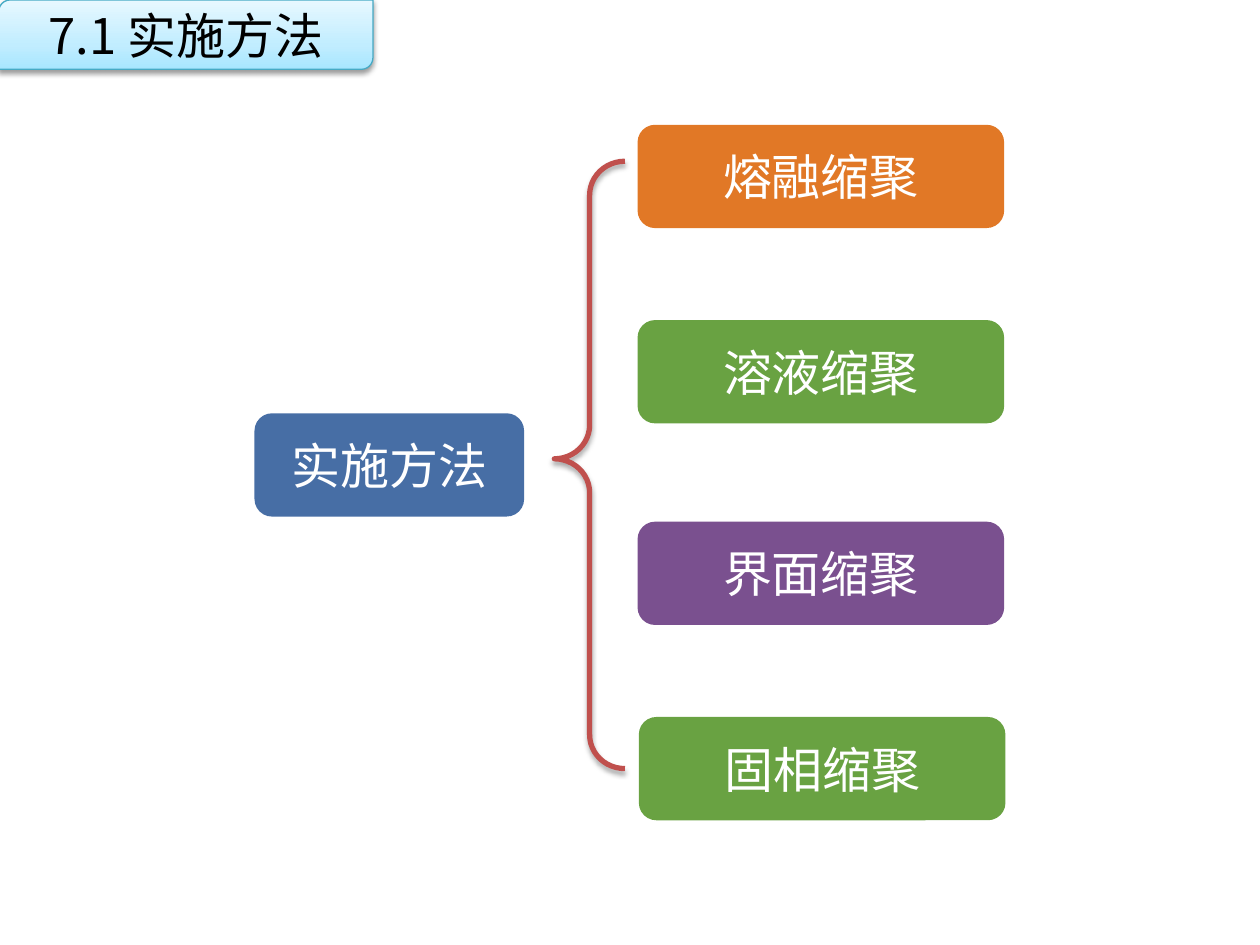
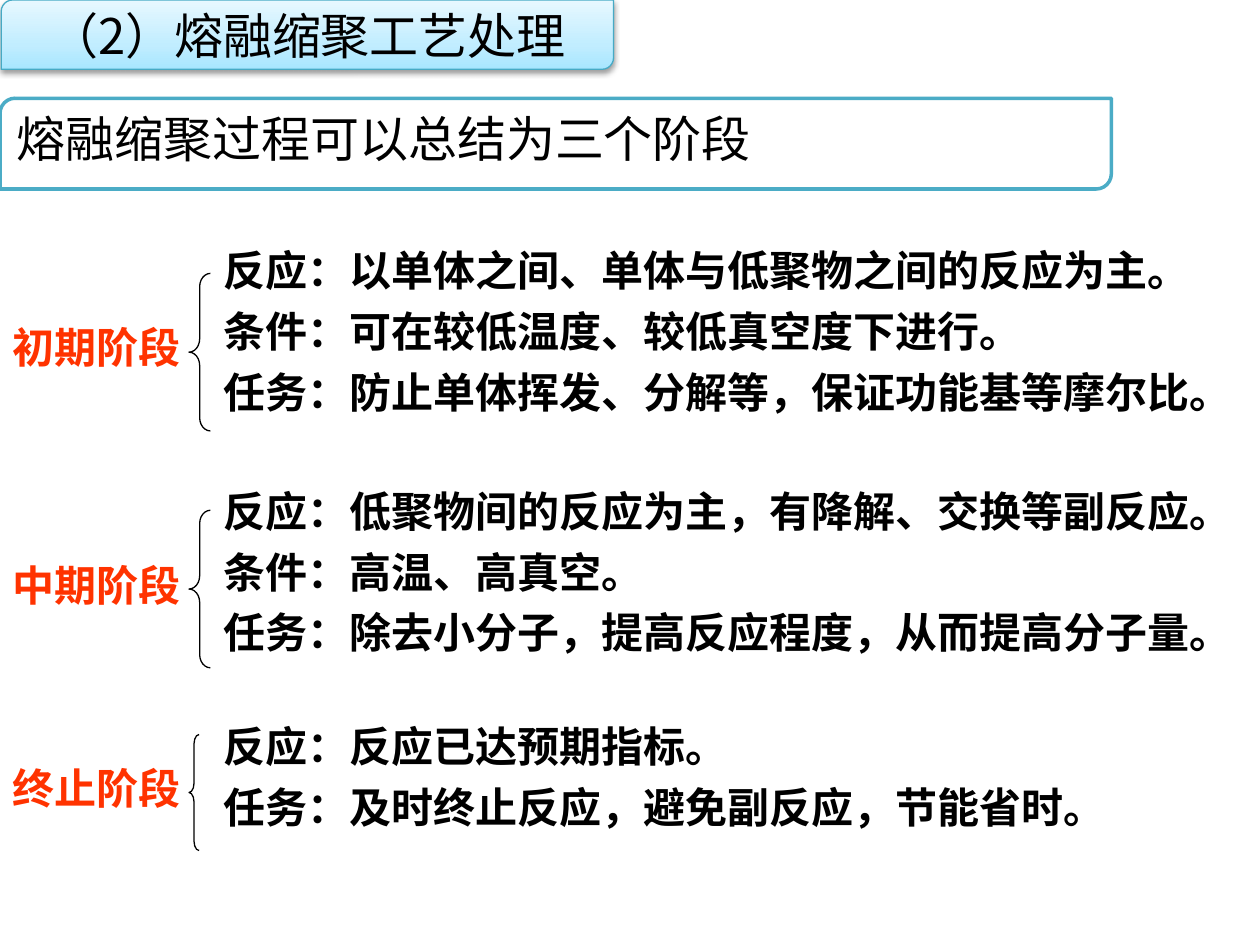
from copy import deepcopy
from dataclasses import dataclass

from lxml import etree
from pptx import Presentation
from pptx.dml.color import RGBColor
from pptx.enum import shapes, text
from pptx.oxml import ns
from pptx.util import Inches, Pt


@dataclass(frozen=True)
class Theme:
    sans: str = "Noto Sans CJK SC"
    serif: str = "Times New Roman"
    large: int = 28
    medium: int = 24
    black: str = "000000"
    white: str = "FFFFFF"
    orange: str = "E17826"
    green: str = "69A242"
    purple: str = "7A508F"
    blue: str = "476EA5"
    brace: str = "C0504D"
    stage: str = "FF3300"
    frame: str = "4BACC6"
    band_line: str = "46AAC5"
    band: tuple = ((0, "A7E6FF"), (0.35, "C1EDFF"), (1, "E7F8FF"))


@dataclass(frozen=True)
class Area:
    left: float
    top: float
    width: float
    height: float

    def lengths(self) -> tuple:
        return tuple(Inches(v) for v in (self.left, self.top, self.width, self.height))


@dataclass(frozen=True)
class Node:
    label: str
    color: str
    area: Area


@dataclass(frozen=True)
class Stage:
    label: str
    label_top: float
    lines: tuple
    list_area: Area
    brace_area: Area
    brace_curve: float


T = Theme()
MSO = shapes.MSO_SHAPE

METHODS = [
    Node("熔融缩聚", T.orange, Area(5.06, 0.99, 2.91, 0.82)),
    Node("溶液缩聚", T.green, Area(5.06, 2.54, 2.91, 0.82)),
    Node("界面缩聚", T.purple, Area(5.06, 4.14, 2.91, 0.82)),
    Node("固相缩聚", T.green, Area(5.07, 5.69, 2.91, 0.82)),
    Node("实施方法", T.blue, Area(2.02, 3.28, 2.14, 0.82)),
]

STAGES = [
    Stage("初期阶段", 2.5,
          ("反应：以单体之间、单体与低聚物之间的反应为主。",
           "条件：可在较低温度、较低真空度下进行。",
           "任务：防止单体挥发、分解等，保证功能基等摩尔比。"),
          Area(1.67, 1.89, 8.33, 1.7), Area(1.5, 2.17, 0.17, 1.25), 0.62),
    Stage("中期阶段", 4.39,
          ("反应：低聚物间的反应为主，有降解、交换等副反应。",
           "条件：高温、高真空。",
           "任务：除去小分子，提高反应程度，从而提高分子量。"),
          Area(1.67, 3.8, 8.33, 1.7), Area(1.5, 4.05, 0.17, 1.25), 0.62),
    Stage("终止阶段", 6,
          ("反应：反应已达预期指标。",
           "任务：及时终止反应，避免副反应，节能省时。"),
          Area(1.67, 5.67, 7.83, 1.1), Area(1.5, 5.83, 0.08, 0.92), 0.92),
]


def rgb(color: str) -> RGBColor:
    return RGBColor.from_string(color)


def place(sp, area: Area) -> None:
    sp.left, sp.top, sp.width, sp.height = area.lengths()


def write(sp, lines, size: int, color: str, font: str = T.sans, bold: bool = False,
          align=text.PP_ALIGN.LEFT, anchor=text.MSO_ANCHOR.TOP, wrap: bool = True) -> None:
    """Fill a shape with evenly formatted paragraphs."""
    tf = sp.text_frame
    tf.text = "\n".join(lines)
    tf.word_wrap, tf.vertical_anchor = wrap, anchor
    tf.auto_size = text.MSO_AUTO_SIZE.NONE
    for i, p in enumerate(tf.paragraphs):
        p.alignment = align
        p.space_before = Pt(6 if i else 0)
        for r in p.runs:
            r.font.size, r.font.bold, r.font.name = Pt(size), bold, font
            r.font.color.rgb = rgb(color)
            etree.SubElement(r._r.get_or_add_rPr(), ns.qn("a:ea"), typeface=T.sans)


def add_shape(slide, kind, area: Area, fill: str | None = None,
              line: str | None = None, weight: float = 0.75, adj: tuple = ()):
    sp = slide.shapes.add_shape(kind, *area.lengths())
    sp.shadow.inherit = False
    for i, value in enumerate(adj):
        sp.adjustments[i] = value
    if fill:
        sp.fill.solid()
        sp.fill.fore_color.rgb = rgb(fill)
    else:
        sp.fill.background()
    if line:
        sp.line.color.rgb, sp.line.width = rgb(line), Pt(weight)
    else:
        sp.line.fill.background()
    return sp


def add_shadow(sp, alpha: int, blur: float, distance: float) -> None:
    effects = sp.element.spPr.find(ns.qn("a:effectLst"))
    shadow = etree.SubElement(effects, ns.qn("a:outerShdw"), blurRad=str(Pt(blur)),
                              dist=str(Pt(distance)), dir="5400000", rotWithShape="0")
    color = etree.SubElement(shadow, ns.qn("a:srgbClr"), val=T.black)
    etree.SubElement(color, ns.qn("a:alpha"), val=str(alpha * 1000))


def add_title(slide, title: str, left: float, width: float) -> None:
    """Gradient band at the top with the title placeholder over it."""
    area = Area(left, 0, width, 0.55)
    band = add_shape(slide, MSO.ROUND_2_DIAG_RECTANGLE, area, line=T.band_line)
    band.fill.gradient()
    band.fill.gradient_angle = 90
    stops = band.element.spPr.find(".//" + ns.qn("a:gsLst"))
    stops.insert(1, deepcopy(stops[0]))
    for stop, (position, color) in zip(band.fill.gradient_stops, T.band):
        stop.position, stop.color.rgb = position, rgb(color)
    add_shadow(band, 38, 3.1, 1.6)

    sp = slide.shapes.title
    place(sp, area)
    sp.text_frame.margin_top = sp.text_frame.margin_bottom = 0
    write(sp, [title], T.large, T.black, align=text.PP_ALIGN.CENTER,
          anchor=text.MSO_ANCHOR.MIDDLE)
    band.element.addnext(sp.element)


def fill_list(sp, stage: Stage) -> None:
    """Body placeholder as a list without bullets."""
    place(sp, stage.list_area)
    write(sp, stage.lines, T.medium, T.black, T.serif, bold=True)
    for p in sp.text_frame.paragraphs:
        pPr = p._p.get_or_add_pPr()
        pPr.set("marL", "0")
        pPr.set("indent", "0")
        etree.SubElement(pPr, ns.qn("a:buNone"))


def build_methods(prs) -> None:
    slide = prs.slides.add_slide(prs.slide_layouts.get_by_name("Title Only"))
    add_title(slide, "7.1 实施方法", -0.01, 2.97)
    for node in METHODS:
        sp = add_shape(slide, MSO.ROUNDED_RECTANGLE, node.area, fill=node.color, adj=(0.17,))
        write(sp, [node.label], T.large, T.white, align=text.PP_ALIGN.CENTER,
              anchor=text.MSO_ANCHOR.MIDDLE, wrap=False)
    brace = add_shape(slide, MSO.LEFT_BRACE, Area(4.4, 1.28, 0.56, 4.82),
                      line=T.brace, weight=3, adj=(0.48, 0.49))
    add_shadow(brace, 35, 3.1, 1.8)


def build_stages(prs) -> None:
    slide = prs.slides.add_slide(prs.slide_layouts.get_by_name("Comparison"))
    add_title(slide, "（2）熔融缩聚工艺处理", 0.01, 4.86)
    summary = add_shape(slide, MSO.ROUND_2_DIAG_RECTANGLE, Area(0, 0.78, 8.82, 0.72),
                        line=T.frame, weight=2)
    write(summary, ["熔融缩聚过程可以总结为三个阶段"], T.large, T.black)

    # One body placeholder per stage; the spare one is dropped
    bodies = [sp for sp in slide.placeholders if sp.placeholder_format.idx in range(1, 5)]
    spare = bodies.pop()
    spare.element.getparent().remove(spare.element)
    for stage, body in zip(STAGES, bodies):
        fill_list(body, stage)
        label = slide.shapes.add_textbox(*Area(0, stage.label_top, 1.54, 0.5).lengths())
        write(label, [stage.label], T.medium, T.stage, T.serif, bold=True, wrap=False)
        add_shape(slide, MSO.LEFT_BRACE, stage.brace_area, line=T.black,
                  adj=(stage.brace_curve, 0.5))


def main() -> None:
    prs = Presentation()
    prs.slide_width, prs.slide_height = Inches(10), Inches(7.5)
    build_methods(prs)
    build_stages(prs)
    prs.save("out.pptx")


if __name__ == "__main__":
    main()
